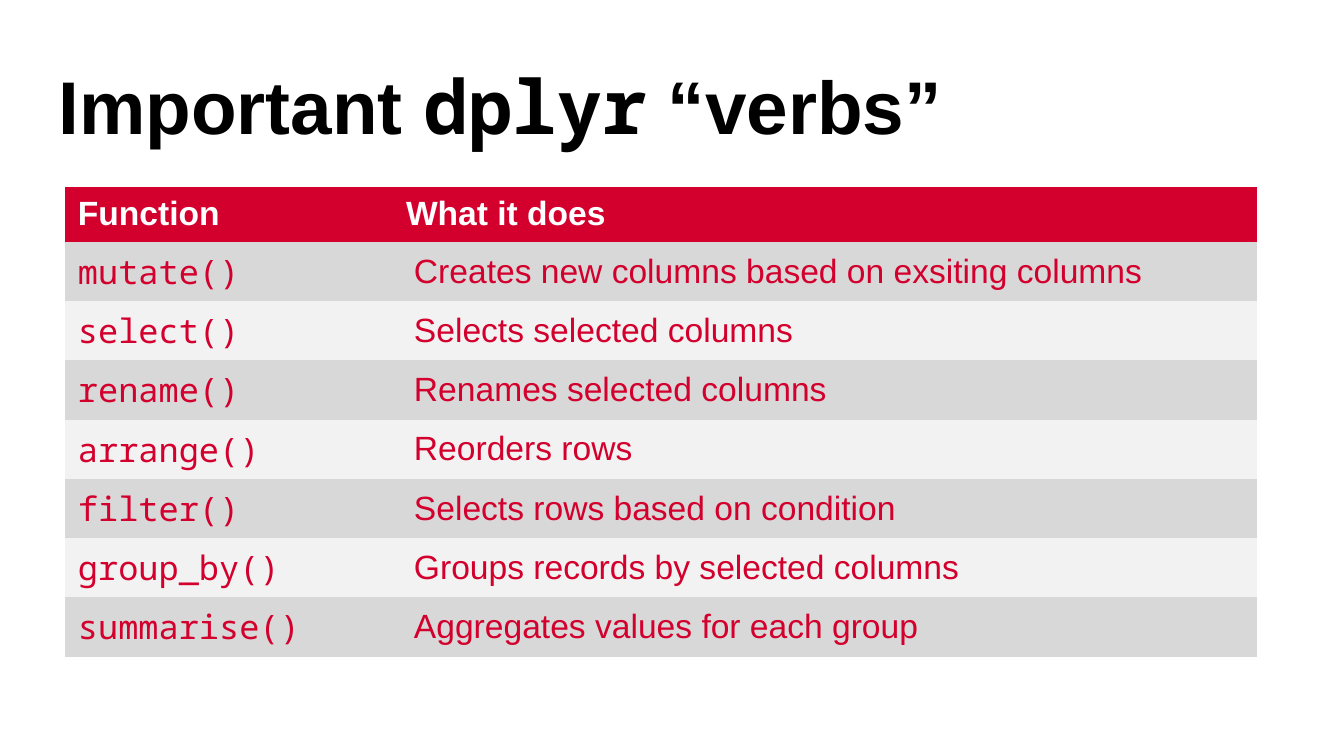
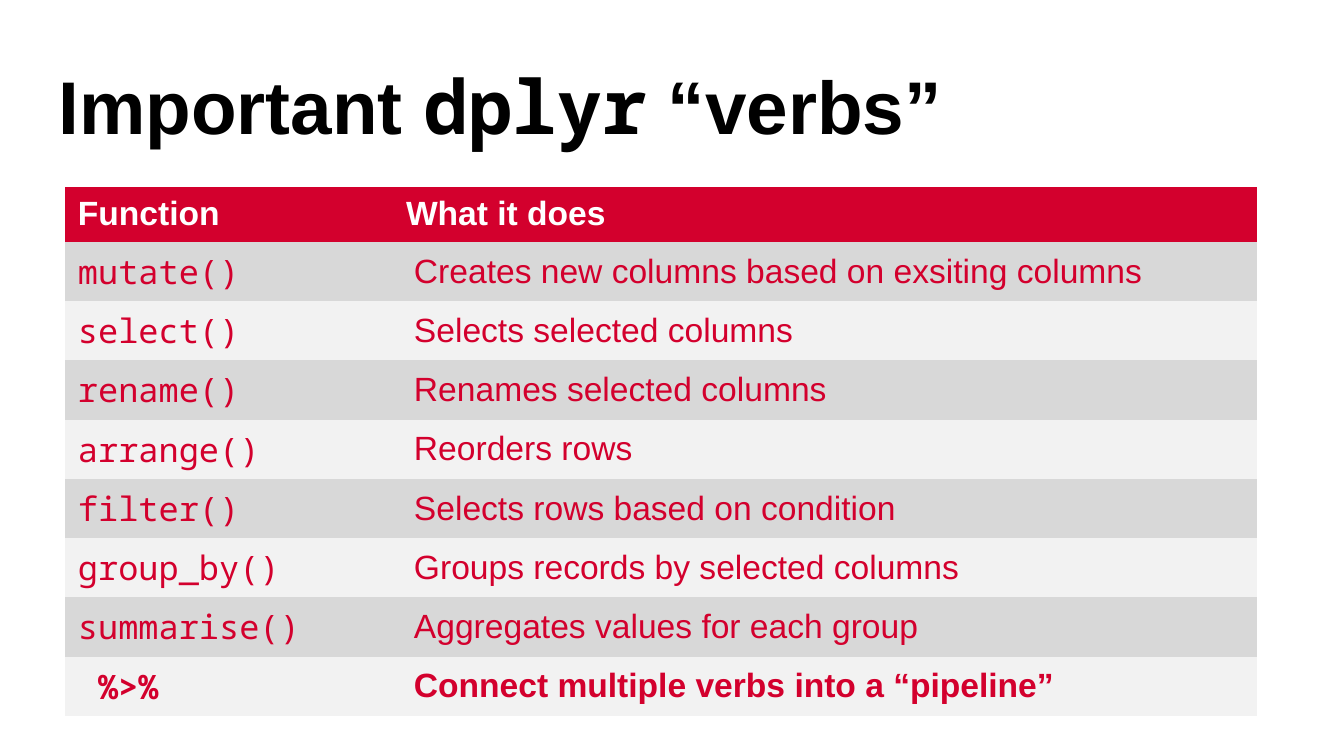
from pptx import Presentation
from pptx.dml.color import RGBColor
from pptx.enum.text import MSO_ANCHOR as Anchor
from pptx.oxml.ns import qn
from pptx.oxml.xmlchemy import OxmlElement as make_element
from pptx.util import Cm, Pt

BLACK = RGBColor(0x00, 0x00, 0x00)
WHITE = RGBColor(0xFF, 0xFF, 0xFF)
RED = RGBColor(0xD3, 0x00, 0x2D)
BAND_COLOURS = (RGBColor(0xD8, 0xD8, 0xD8), RGBColor(0xF2, 0xF2, 0xF2))
SANS = "Arial"
MONO = "Noto Sans Mono"
NO_GRID_STYLE = "{2D5ABB26-0587-4C30-8999-92F81FD0307C}"

TITLE_BOX = (Cm(1.11), Cm(0.97), Cm(22.76), Cm(1.88))
TABLE_BOX = (Cm(1.22), Cm(3.53), Cm(22.53))
HEADING_HEIGHT = Cm(1.04)
VERB_HEIGHT = Cm(1.12)
FUNCTION_WIDTH = Cm(6.35)
HEADING_TAB = Cm(6.2)
PIPE_INDENT = Cm(0.38)

TITLE = (("Important ", SANS), ("dplyr", MONO), (" “verbs”", SANS))
HEADING = "Function\tWhat it does"
VERBS = (
    ("mutate()", "Creates new columns based on exsiting columns"),
    ("select()", "Selects selected columns"),
    ("rename()", "Renames selected columns"),
    ("arrange()", "Reorders rows"),
    ("filter()", "Selects rows based on condition"),
    ("group_by()", "Groups records by selected columns"),
    ("summarise()", "Aggregates values for each group"),
)
PIPE = ("%>%", "Connect multiple verbs into a “pipeline”")


def set_font(paragraph, size, colour, bold, name=SANS):
    """Set the font shared by all runs of a paragraph."""
    font = paragraph.font
    font.size, font.bold, font.name = Pt(size), bold, name
    font.color.rgb = colour


def add_title(slide, box):
    """Write the bold title with the package name in monospace."""
    frame = slide.shapes.add_textbox(*box).text_frame
    frame.word_wrap = True
    frame.vertical_anchor = Anchor.BOTTOM
    frame.margin_left = frame.margin_right = 0
    frame.margin_top = frame.margin_bottom = 0
    paragraph = frame.paragraphs[0]
    paragraph.line_spacing = 0.9
    set_font(paragraph, 40, BLACK, True)
    for text, name in TITLE:
        run = paragraph.add_run()
        run.text = text
        run.font.name = name


def fill_cell(cell, text, fill):
    """Write and colour a cell, returning its paragraph."""
    cell.fill.solid()
    cell.fill.fore_color.rgb = fill
    cell.vertical_anchor = Anchor.MIDDLE
    paragraph = cell.text_frame.paragraphs[0]
    paragraph.add_run().text = text
    return paragraph


def add_heading_row(table):
    """Merge the top row and align its second heading with a tab stop."""
    table.rows[0].height = HEADING_HEIGHT
    first = table.cell(0, 0)
    first.merge(table.cell(0, 1))
    paragraph = fill_cell(first, HEADING, RED)
    tabs = make_element("a:tabLst")
    tab = make_element("a:tab")
    tab.set("pos", str(HEADING_TAB))
    tab.set("algn", "l")
    tabs.append(tab)
    paragraph._p.get_or_add_pPr().append(tabs)
    set_font(paragraph, 18, WHITE, True)


def add_verb_table(slide, box, verbs):
    """Draw the banded table of functions and their purposes."""
    left, top, width = box
    height = HEADING_HEIGHT + VERB_HEIGHT * len(verbs)
    table = slide.shapes.add_table(
        len(verbs) + 1, 2, left, top, width, height).table
    table._tbl.tblPr.find(qn("a:tableStyleId")).text = NO_GRID_STYLE
    table.columns[0].width = FUNCTION_WIDTH
    table.columns[1].width = width - FUNCTION_WIDTH
    add_heading_row(table)
    for row, verb in enumerate(verbs, start=1):
        table.rows[row].height = VERB_HEIGHT
        is_pipe = verb == PIPE
        for column, name in enumerate((MONO, SANS)):
            paragraph = fill_cell(
                table.cell(row, column), verb[column], BAND_COLOURS[(row - 1) % 2])
            set_font(paragraph, 18, RED, is_pipe, name)
            if is_pipe and column == 0:
                paragraph._p.get_or_add_pPr().set("marL", str(PIPE_INDENT))


def add_verb_slide(presentation, verbs):
    """Add one slide with the title and a table of verbs."""
    slide = presentation.slides.add_slide(presentation.slide_layouts[6])
    add_title(slide, TITLE_BOX)
    add_verb_table(slide, TABLE_BOX, verbs)


def main():
    """Build and save both slides."""
    presentation = Presentation()
    presentation.slide_width = Cm(25.4)
    presentation.slide_height = Cm(14.29)
    add_verb_slide(presentation, VERBS)
    add_verb_slide(presentation, VERBS + (PIPE,))
    presentation.save("out.pptx")


if __name__ == "__main__":
    main()
